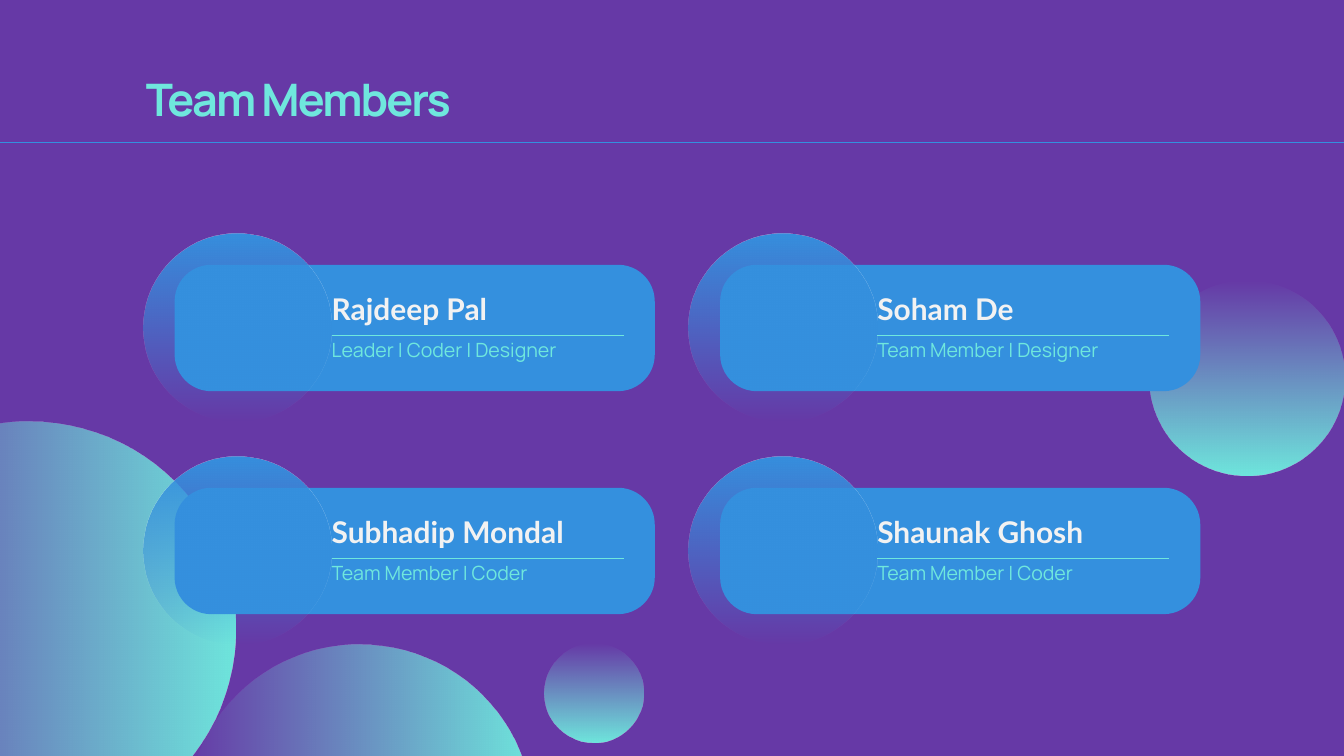
from dataclasses import dataclass

import pptx
import pptx.dml.color
import pptx.enum.dml
import pptx.enum.shapes
import pptx.enum.text
import pptx.oxml
import pptx.oxml.ns
import pptx.oxml.xmlchemy
import pptx.util

Cm = pptx.util.Cm
Pt = pptx.util.Pt
Shapes = pptx.enum.shapes.MSO_SHAPE

PURPLE, BLUE, AQUA, WHITE = "6639A6", "3490DE", "6FE7DD", "F2F2F2"
SLIDE_WIDTH, SLIDE_HEIGHT = 50.8, 28.58

# All positions and sizes below are in centimetres.
GRID_LEFT, GRID_TOP = 6.6, 10.01
COLUMN_STEP, ROW_STEP = 20.62, 8.43
CARD_WIDTH, CARD_HEIGHT = 18.15, 4.78
AVATAR_SIZE, AVATAR_OFFSET = 7.12, -1.18
TEXT_OFFSET, TEXT_WIDTH = 5.94, 11.04

TITLE_FORMAT = {"name": "Manrope", "size": Pt(48), "bold": True}
NAME_FORMAT = {"name": "Lato", "size": Pt(32), "bold": True}
ROLE_FORMAT = {"name": "Manrope", "size": Pt(21), "bold": False}


@dataclass
class Member:
    name: str
    role: str


@dataclass
class Orb:
    left: float
    top: float
    size: float
    angle: int  # python-pptx angle: 0 runs rightwards, 270 downwards
    color: str = AQUA
    start_alpha: int = 0
    end_alpha: int = 100


MEMBERS = [
    Member("Rajdeep Pal", "Leader | Coder | Designer"),
    Member("Soham De", "Team Member | Designer"),
    Member("Subhadip Mondal", "Team Member | Coder"),
    Member("Shaunak Ghosh", "Team Member | Coder"),
]
ORBS = [
    Orb(43.46, 10.62, 7.34, 270),
    Orb(-6.71, 15.95, 15.62, 0),
    Orb(7.06, 24.36, 13.06, 0),
    Orb(20.6, 24.33, 3.73, 270),
]


def rgb(color: str) -> pptx.dml.color.RGBColor:
    return pptx.dml.color.RGBColor.from_string(color)


def add_plain_shape(slide, kind, left: float, top: float, width: float, height: float):
    """Add a preset shape without outline or shadow."""
    shape = slide.shapes.add_shape(kind, Cm(left), Cm(top), Cm(width), Cm(height))
    shape.shadow.inherit = False
    shape.line.fill.background()
    return shape


def add_orb(slide, orb: Orb) -> None:
    """Add a circle whose one colour fades between two opacities."""
    shape = add_plain_shape(slide, Shapes.OVAL, orb.left, orb.top, orb.size, orb.size)
    shape.fill.gradient()
    shape.fill.gradient_angle = orb.angle
    for stop in shape.fill.gradient_stops:
        stop.color.rgb = rgb(orb.color)
    colors = shape.element.spPr.iter(pptx.oxml.ns.qn("a:srgbClr"))
    for color, alpha in zip(list(colors), (orb.start_alpha, orb.end_alpha)):
        element = pptx.oxml.xmlchemy.OxmlElement("a:alpha")
        element.set("val", str(alpha * 1000))
        color.append(element)


def add_rule(slide, left: float, top: float, width: float, color: str) -> None:
    line = slide.shapes.add_connector(
        pptx.enum.shapes.MSO_CONNECTOR.STRAIGHT,
        Cm(left), Cm(top), Cm(left + width), Cm(top))
    line.line.color.rgb = rgb(color)
    line.line.width = Pt(0.75)
    line.element.spPr.append(pptx.oxml.xmlchemy.OxmlElement("a:effectLst"))


def write_text(shape, text: str, font_format: dict, color: str):
    """Fill a text shape with one left-aligned line and return its run."""
    frame = shape.text_frame
    frame_format = {
        "margin_left": 0, "margin_top": 0, "margin_right": 0, "margin_bottom": 0,
        "word_wrap": True,
        "auto_size": pptx.enum.text.MSO_AUTO_SIZE.NONE,
        "vertical_anchor": pptx.enum.text.MSO_ANCHOR.TOP,
    }
    for attribute, value in frame_format.items():
        setattr(frame, attribute, value)
    paragraph = frame.paragraphs[0]
    paragraph.alignment = pptx.enum.text.PP_ALIGN.LEFT
    paragraph.line_spacing = Pt(font_format["size"].pt * 1.2)
    run = paragraph.add_run()
    run.text = text
    for attribute, value in font_format.items():
        setattr(run.font, attribute, value)
    run.font.color.rgb = rgb(color)
    return run


def add_title(slide, text: str) -> None:
    title = slide.shapes.title
    title.left, title.top = Cm(5.51), Cm(2.72)
    title.width, title.height = Cm(13.03), Cm(2.13)
    run = write_text(title, text, TITLE_FORMAT, AQUA)
    run.font._element.set("spc", "-200")
    add_rule(slide, 0, 5.38, SLIDE_WIDTH, BLUE)


def add_member_card(slide, member: Member, left: float, top: float) -> None:
    card = add_plain_shape(
        slide, Shapes.ROUNDED_RECTANGLE, left, top, CARD_WIDTH, CARD_HEIGHT)
    card.adjustments[0] = 0.29
    card.fill.solid()
    card.fill.fore_color.rgb = rgb(BLUE)
    add_orb(slide, Orb(left + AVATAR_OFFSET, top + AVATAR_OFFSET, AVATAR_SIZE,
                       270, "3690DE", 100, 0))

    text_left = left + TEXT_OFFSET
    add_rule(slide, text_left, top + 2.66, TEXT_WIDTH, AQUA)
    for text, offset, height, font_format, color in (
        (member.name, 0.97, 1.5, NAME_FORMAT, WHITE),
        (member.role, 2.77, 0.9, ROLE_FORMAT, AQUA),
    ):
        box = slide.shapes.add_textbox(
            Cm(text_left), Cm(top + offset), Cm(TEXT_WIDTH), Cm(height))
        write_text(box, text, font_format, color)


def main() -> None:
    presentation = pptx.Presentation()
    presentation.slide_width = Cm(SLIDE_WIDTH)
    presentation.slide_height = Cm(SLIDE_HEIGHT)
    slide = presentation.slides.add_slide(
        presentation.slide_layouts.get_by_name("Title Only"))
    slide.background.fill.solid()
    slide.background.fill.fore_color.rgb = rgb(PURPLE)

    for orb in ORBS:
        add_orb(slide, orb)
    for index, member in enumerate(MEMBERS):
        row, column = divmod(index, 2)
        add_member_card(slide, member,
                        GRID_LEFT + column * COLUMN_STEP, GRID_TOP + row * ROW_STEP)
    add_title(slide, "Team Members")
    presentation.save("out.pptx")


if __name__ == "__main__":
    main()
